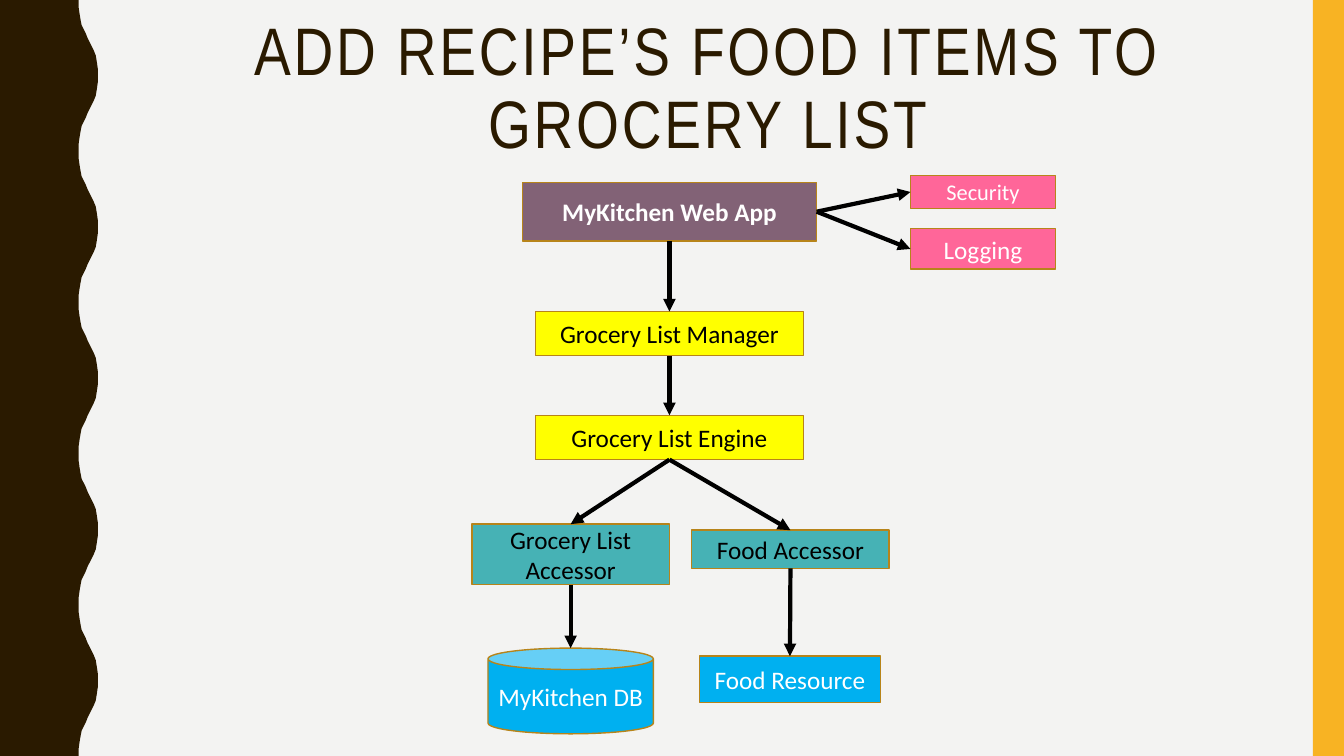
from pptx import Presentation
from pptx.dml.color import RGBColor
from pptx.enum.shapes import MSO_CONNECTOR, MSO_SHAPE
from pptx.enum.text import MSO_ANCHOR, PP_ALIGN
from pptx.oxml.ns import qn
from pptx.util import Pt
from lxml import etree

PX = 9144  # EMU per px, 100 px to the inch
WIDE, HIGH = 1333, 750
RECT, CAN = MSO_SHAPE.RECTANGLE, MSO_SHAPE.CAN
STRAIGHT = MSO_CONNECTOR.STRAIGHT
MIDDLE, CENTER = MSO_ANCHOR.MIDDLE, PP_ALIGN.CENTER

DARK, AMBER, PAPER, EDGE = "2A1A00", "F8B323", "F3F3F2", "B7841A"
PLUM, PINK, YELLOW, TEAL, BLUE = "826276", "FF6699", "FFFF00", "46B2B5", "00B0F0"
WHITE, BLACK = "FFFFFF", "000000"

TITLE = {"name": "Arial Narrow", "size": Pt(48)}
LABEL = {"name": "Calibri", "size": Pt(18)}
BOLD = {**LABEL, "bold": True}
SMALL = {**LABEL, "size": Pt(16)}

# name: kind, place, fill, text colour, font
NODES = {
    "MyKitchen Web App": (RECT, (518, 181, 292, 58), PLUM, WHITE, BOLD),
    "Security": (RECT, (903, 174, 144, 33), PINK, WHITE, SMALL),
    "Logging": (RECT, (903, 227, 144, 40), PINK, WHITE, LABEL),
    "Grocery List Manager": (RECT, (531, 309, 266, 44), YELLOW, BLACK, LABEL),
    "Grocery List Engine": (RECT, (531, 412, 266, 44), YELLOW, BLACK, LABEL),
    "Grocery List Accessor": (RECT, (468, 520, 196, 60), TEAL, BLACK, LABEL),
    "Food Accessor": (RECT, (686, 526, 196, 38), TEAL, BLACK, LABEL),
    "MyKitchen DB": (CAN, (484, 643, 164, 85), BLUE, WHITE, LABEL),
    "Food Resource": (RECT, (694, 651, 179, 46), BLUE, WHITE, LABEL),
}
ACROSS = [("MyKitchen Web App", "Security"), ("MyKitchen Web App", "Logging")]
DOWN = [
    ("MyKitchen Web App", "Grocery List Manager"),
    ("Grocery List Manager", "Grocery List Engine"),
    ("Grocery List Engine", "Grocery List Accessor"),
    ("Grocery List Engine", "Food Accessor"),
    ("Grocery List Accessor", "MyKitchen DB"),
    ("Food Accessor", "Food Resource"),
]

# Edge of the side band over half a wave; the other half mirrors it
PERIOD, WAVES = 150, 5
HALF = [(78, 0), (78, 7), (79, 14), (80, 20), (81, 25), (83, 29), (85, 33),
        (87, 38), (89, 42), (91, 46), (93, 50), (95, 55), (96, 61), (97, 68)]


def emu(*vals):
    return [v * PX for v in vals]


def color(code):
    return RGBColor.from_string(code)


def paint(shape, fill, edge=None):
    shape.shadow.inherit = False
    shape.fill.solid()
    shape.fill.fore_color.rgb = color(fill)
    if edge:
        shape.line.color.rgb = color(edge)
        shape.line.width = Pt(1)
    else:
        shape.line.fill.background()


def write(shape, text, ink, style):
    """Put one centred paragraph in the shape and return its run."""
    frame = shape.text_frame
    frame.word_wrap = True
    frame.vertical_anchor = MIDDLE
    para = frame.paragraphs[0]
    para.alignment = CENTER
    run = para.add_run()
    run.text = text
    for key, val in style.items():
        setattr(run.font, key, val)
    run.font.color.rgb = color(ink)
    return run


def add_band(shapes):
    """Draw the dark band with a wavy right edge."""
    wave = HALF + [(97, 75)] + [(x, PERIOD - y) for x, y in HALF[:0:-1]]
    edge = [(x, y + n * PERIOD) for n in range(WAVES) for x, y in wave]
    form = shapes.build_freeform(0, 0, scale=PX)
    form.add_line_segments(edge + [(78, HIGH), (0, HIGH)], close=True)
    paint(form.convert_to_shape(), DARK)


def add_title(shapes, text):
    box = shapes.add_textbox(*emu(127, 18, 1150, 143))
    run = write(box, text, DARK, TITLE)
    run.font._element.set("spc", "200")
    box.text_frame.paragraphs[0].line_spacing = 0.9


def add_node(shapes, text, kind, place, fill, ink, style):
    node = shapes.add_shape(kind, *emu(*place))
    paint(node, fill, EDGE)
    write(node, text, ink, style)
    return node


def add_arrow(shapes, start, end, across=False):
    """Join right to left side, or bottom to top."""
    if across:
        x1, y1 = start.left + start.width, start.top + start.height // 2
        x2, y2 = end.left, end.top + end.height // 2
    else:
        x1, y1 = start.left + start.width // 2, start.top + start.height
        x2, y2 = end.left + end.width // 2, end.top
    line = shapes.add_connector(STRAIGHT, x1, y1, x2, y2)
    line.begin_connect(start, 3 if across else 2)
    # A can counts its top edge as site 1, so its end is set again below
    line.end_connect(end, int(across or end.auto_shape_type == CAN))
    line.end_x, line.end_y = x2, y2
    line.line.color.rgb = color(BLACK)
    line.line.width = Pt(3)
    etree.SubElement(line.line._get_or_add_ln(), qn("a:tailEnd"), type="triangle")
    etree.SubElement(line._element.spPr, qn("a:effectLst"))


def main():
    deck = Presentation()
    deck.slide_width, deck.slide_height = emu(WIDE, HIGH)
    slide = deck.slides.add_slide(deck.slide_layouts[6])
    back = slide.background.fill
    back.solid()
    back.fore_color.rgb = color(PAPER)
    shapes = slide.shapes

    add_band(shapes)
    paint(shapes.add_shape(RECT, *emu(1302, 0, 31, HIGH)), AMBER)
    add_title(shapes, "ADD RECIPE’S FOOD ITEMS TO GROCERY LIST")
    nodes = {name: add_node(shapes, name, *data) for name, data in NODES.items()}
    for start, end in ACROSS:
        add_arrow(shapes, nodes[start], nodes[end], across=True)
    for start, end in DOWN:
        add_arrow(shapes, nodes[start], nodes[end])
    deck.save("out.pptx")


if __name__ == "__main__":
    main()
